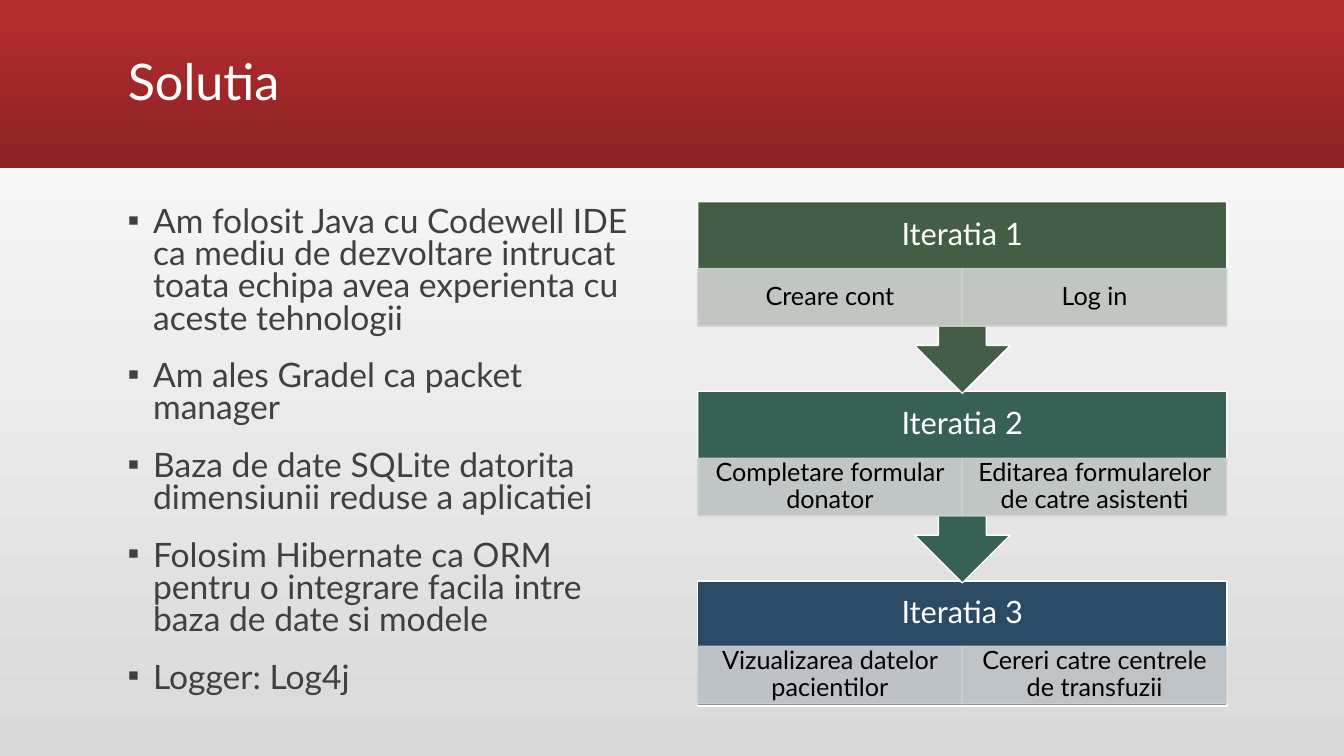
"""Build the "Solutia" slide: technology choices beside three iterations."""
from dataclasses import dataclass

from lxml.etree import SubElement
from pptx import Presentation
from pptx.dml.color import RGBColor
from pptx.enum.shapes import MSO_SHAPE as Preset
from pptx.enum.text import MSO_ANCHOR as Anchor, MSO_AUTO_SIZE as AutoSize, PP_ALIGN as Align
from pptx.oxml.ns import qn
from pptx.util import Cm, Pt


@dataclass(frozen=True)
class Theme:
    """Colours, font and type sizes."""
    font: str = "Lato"
    white: str = "FFFFFF"
    black: str = "000000"
    body: str = "404040"
    band: tuple = ("B82D2F", "8A2223")
    backdrop: tuple = ("D9D9D9", "FFFFFF")
    title_size: int = 36
    body_size: int = 24
    header_size: int = 22
    task_size: int = 18


@dataclass(frozen=True)
class Iteration:
    """One step of the plan: header, header colour, and (task, tint) pairs."""
    name: str
    color: str
    tasks: tuple


THEME = Theme()
CHOICES = (
    "Am folosit Java cu Codewell IDE ca mediu de dezvoltare intrucat "
    "toata echipa avea experienta cu aceste tehnologii",
    "Am ales Gradel ca packet manager",
    "Baza de date SQLite datorita dimensiunii reduse a aplicatiei",
    "Folosim Hibernate ca ORM pentru o integrare facila intre baza de date si modele",
    "Logger: Log4j",
)
ITERATIONS = (
    Iteration("Iteratia 1", "445E45", (("Creare cont", "CFD2D0"), ("Log in", "CFD2CF"))),
    Iteration("Iteratia 2", "376156", (("Completare formular donator", "CED2D2"),
                                       ("Editarea formularelor de catre asistenti", "CED2D1"))),
    Iteration("Iteratia 3", "2B4A63", (("Vizualizarea datelor pacientilor", "CDD0D3"),
                                       ("Cereri catre centrele de transfuzii", "CED1D3"))),
)
FLOW_LEFT, FLOW_TOP, FLOW_WIDTH, FLOW_PITCH = 17.58, 5.08, 13.34, 4.78
CALLOUT_HEIGHT, LAST_HEIGHT = 4.83, 3.15
HEADER_HEIGHT, LAST_HEADER_HEIGHT, TASK_HEIGHT = 1.69, 1.65, 1.45


def rgb(code):
    """Turn a hex code into a colour."""
    return RGBColor.from_string(code)


def paint_gradient(fill, colors, angle):
    """Apply a two-stop linear gradient."""
    fill.gradient()
    fill.gradient_angle = angle
    for stop, color in zip(fill.gradient_stops, colors):
        stop.color.rgb = rgb(color)


def prepare_frame(shape, anchor, inset_x=0.25, inset_y=0.13):
    """Set wrapping, anchor and insets of a text frame."""
    frame = shape.text_frame
    frame.word_wrap = True
    frame.auto_size = AutoSize.NONE
    frame.vertical_anchor = anchor
    frame.margin_left = frame.margin_right = Cm(inset_x)
    frame.margin_top = frame.margin_bottom = Cm(inset_y)
    return frame


def write(para, text, size, color, align=Align.LEFT, spacing=0.9):
    """Add one formatted run to a paragraph."""
    para.alignment = align
    para.line_spacing = spacing
    span = para.add_run()
    span.text = text
    span.font.name = THEME.font
    span.font.size = Pt(size)
    span.font.color.rgb = rgb(color)


def add_block(page, preset, place, color, line):
    """Add a filled, outlined preset shape."""
    block = page.shapes.add_shape(preset, *map(Cm, place))
    block.shadow.inherit = False
    block.fill.solid()
    block.fill.fore_color.rgb = rgb(color)
    block.line.color.rgb = rgb(line)
    block.line.width = Pt(1)
    return block


def add_title(page, text):
    """Place the title over its gradient band."""
    title = page.shapes.title
    title.left, title.top, title.width, title.height = Cm(2.97), Cm(0.28), Cm(27.94), Cm(3.68)
    frame = prepare_frame(title, Anchor.MIDDLE)
    write(frame.paragraphs[0], text, THEME.title_size, THEME.white)
    band = page.shapes.add_shape(Preset.RECTANGLE, 0, 0, Cm(33.87), Cm(4.23))
    band.shadow.inherit = False
    band.line.fill.background()
    paint_gradient(band.fill, THEME.band, 270)
    title.element.addprevious(band.element)


def add_bullets(page, items):
    """Add the bulleted list."""
    box = page.shapes.add_textbox(Cm(2.97), Cm(5.1), Cm(13.34), Cm(12.7))
    frame = prepare_frame(box, Anchor.TOP)
    for index, item in enumerate(items):
        para = frame.add_paragraph() if index else frame.paragraphs[0]
        write(para, item, THEME.body_size, THEME.body, spacing=0.8)
        para.space_before = Pt(18)
        props = para._p.get_or_add_pPr()
        props.set("marL", str(Cm(0.64)))
        props.set("indent", str(-Cm(0.64)))
        SubElement(props, qn("a:buFont"), typeface="Arial")
        SubElement(props, qn("a:buChar"), char="▪")


def add_task(page, place, text, tint):
    """Add one translucent task cell."""
    cell = add_block(page, Preset.RECTANGLE, place, tint, tint)
    for color in cell.element.spPr.iter(qn("a:srgbClr")):
        SubElement(color, qn("a:alpha"), val="90000")
    frame = prepare_frame(cell, Anchor.MIDDLE, 0.36, 0.08)
    write(frame.paragraphs[0], text, THEME.task_size, THEME.black, Align.CENTER)


def add_iteration(page, top, iteration, last):
    """Add a header block, with an arrow unless last, and its task cells."""
    preset = Preset.RECTANGLE if last else Preset.UP_ARROW_CALLOUT
    height = LAST_HEIGHT if last else CALLOUT_HEIGHT
    header_height = LAST_HEADER_HEIGHT if last else HEADER_HEIGHT
    place = (FLOW_LEFT, top, FLOW_WIDTH, height)
    block = add_block(page, preset, place, iteration.color, THEME.white)
    block.rotation = 0 if last else 180
    header = page.shapes.add_textbox(*map(Cm, (FLOW_LEFT, top, FLOW_WIDTH, header_height)))
    frame = prepare_frame(header, Anchor.MIDDLE, 0.43, 0.43)
    write(frame.paragraphs[0], iteration.name, THEME.header_size, THEME.white, Align.CENTER)
    width = FLOW_WIDTH / len(iteration.tasks)
    for column, (text, tint) in enumerate(iteration.tasks):
        place = (FLOW_LEFT + column * width, top + header_height, width, TASK_HEIGHT)
        add_task(page, place, text, tint)


def main():
    """Build and save the deck."""
    deck = Presentation()
    deck.slide_width, deck.slide_height = Cm(33.87), Cm(19.05)
    page = deck.slides.add_slide(deck.slide_layouts.get_by_name("Title Only"))
    paint_gradient(page.background.fill, THEME.backdrop, 90)
    add_title(page, "Solutia")
    add_bullets(page, CHOICES)
    final = len(ITERATIONS) - 1
    for index in range(final, -1, -1):
        add_iteration(page, FLOW_TOP + index * FLOW_PITCH, ITERATIONS[index], index == final)
    deck.save("out.pptx")


if __name__ == "__main__":
    main()
